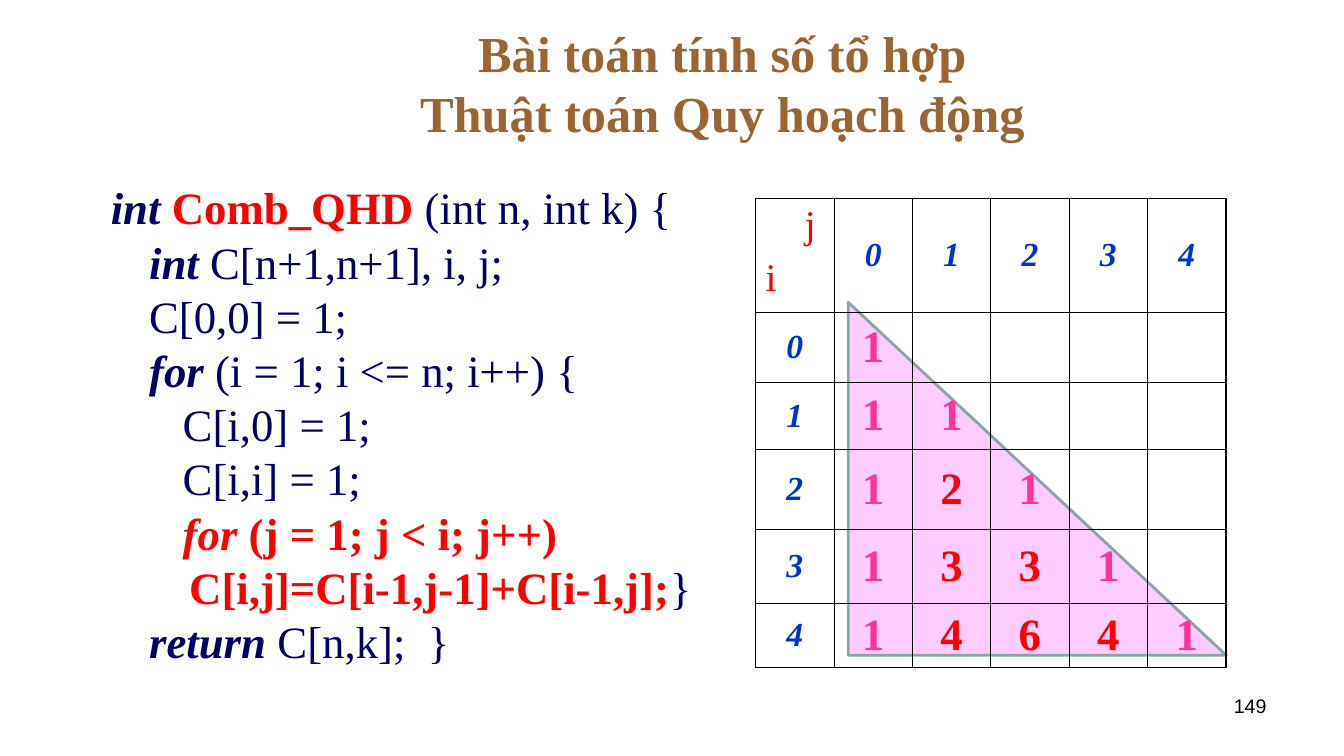
from lxml import etree
from pptx import Presentation
from pptx.dml.color import RGBColor
from pptx.enum.shapes import MSO_SHAPE as SHAPE
from pptx.enum.text import MSO_ANCHOR as ANCHOR, MSO_AUTO_SIZE as FIT, PP_ALIGN as ALIGN
from pptx.oxml.ns import qn
from pptx.util import Inches, Pt

BROWN = RGBColor(0x99, 0x66, 0x33)
NAVY = RGBColor(0x00, 0x00, 0x66)
RED = RGBColor(0xFF, 0x00, 0x00)
BLUE = RGBColor(0x00, 0x33, 0xCC)
PINK = RGBColor(0xFF, 0x33, 0x99)
LILAC = RGBColor(0xFF, 0xCC, 0xFF)
TEAL = RGBColor(0x89, 0xA4, 0xA7)
BLACK = RGBColor(0x00, 0x00, 0x00)
SERIF = "Times New Roman"

PLAIN = (NAVY, False, False)
KEY = (NAVY, True, True)
HOT = (RED, True, False)
HOT_KEY = (RED, True, True)

CODE = [
    [("int ", KEY), ("Comb_QHD ", HOT), ("(int n, int k) {", PLAIN)],
    [("\tint ", KEY), ("C[n+1,n+1], i, j;", PLAIN)],
    [("\tC[0,0] = 1;", PLAIN)],
    [("\tfor", KEY), (" (i = 1; i <= n; i++) {", PLAIN)],
    [("\t   C[i,0] = 1;", PLAIN)],
    [("\t   C[i,i] = 1;", PLAIN)],
    [("\t   ", PLAIN), ("for ", HOT_KEY), ("(j = 1; j < i; j++)", HOT)],
    [("       C[i,j]=C[i-1,j-1]+C[i-1,j];", HOT), ("}", PLAIN)],
    [("\t", PLAIN), ("return", KEY), (" C[n,k];  }", PLAIN)],
]
ROW_HEIGHTS = [1.13, 0.69, 0.67, 0.79, 0.74, 0.63]


def place(sp, box):
    sp.left, sp.top, sp.width, sp.height = (Inches(v) for v in box)


def style(font, size, color, bold=False, italic=False, name=SERIF):
    font.name, font.size = name, Pt(size)
    font.bold, font.italic = bold, italic
    font.color.rgb = color


def add_title(sp, box):
    place(sp, box)
    tf = sp.text_frame
    tf.text = "Bài toán tính số tổ hợp\vThuật toán Quy hoạch động"
    tf.vertical_anchor = ANCHOR.MIDDLE
    tf.auto_size = FIT.NONE
    p = tf.paragraphs[0]
    p.alignment = ALIGN.CENTER
    for r in p.runs:
        style(r.font, 36, BROWN, True)


def add_code(sp, box):
    place(sp, box)
    tf = sp.text_frame
    tf.auto_size = FIT.NONE
    for i, line in enumerate(CODE):
        p = tf.add_paragraph() if i else tf.paragraphs[0]
        p.line_spacing = 0.8
        p.space_before = Pt(8 if i else 0)
        pPr = p._p.get_or_add_pPr()
        pPr.set("marL", str(Inches(0.38)))
        pPr.set("indent", str(-Inches(0.38)))
        etree.SubElement(pPr, qn("a:buNone"))
        for text, look in line:
            r = p.add_run()
            r.text = text
            style(r.font, 32, *look)


def set_borders(cell, row, col, last):
    tcPr = cell._tc.get_or_add_tcPr()
    outer = {"L": col == 0, "R": col == last, "T": row == 0, "B": row == last}
    for i, (side, thick) in enumerate(outer.items()):
        ln = etree.Element(qn(f"a:ln{side}"), w=str(Pt(1.08 if thick else 0.45)))
        fill = etree.SubElement(ln, qn("a:solidFill"))
        etree.SubElement(fill, qn("a:srgbClr"), val=str(BLACK))
        tcPr.insert(i, ln)


def fill_corner(cell):
    tf = cell.text_frame
    tf.text = "j\ni"
    for p in tf.paragraphs:
        style(p.runs[0].font, 28, RED)
    j, i = tf.paragraphs
    j._p.get_or_add_pPr().set("marL", str(Inches(0.39)))
    i.space_before = Pt(7)


def fill_number(cell, value, size, color, italic):
    cell.vertical_anchor = ANCHOR.MIDDLE
    cell.text_frame.text = str(value)
    p = cell.text_frame.paragraphs[0]
    p.alignment = ALIGN.CENTER
    style(p.runs[0].font, size, color, True, italic)


def pascal_rows(count):
    rows = [[1]]
    while len(rows) < count:
        prev = rows[-1]
        rows.append([1] + [a + b for a, b in zip(prev, prev[1:])] + [1])
    return rows


def add_pascal_table(s, box):
    left, top, width, height = box
    sp = s.shapes.add_shape(SHAPE.RIGHT_TRIANGLE, Inches(left + 0.92), Inches(top + 1.03),
                            Inches(width - 0.92), Inches(3.5))
    sp.shadow.inherit = False
    sp.fill.solid()
    sp.fill.fore_color.rgb = LILAC
    sp.line.color.rgb = TEAL
    sp.line.width = Pt(2)

    n = len(ROW_HEIGHTS)
    table = s.shapes.add_table(n, n, *(Inches(v) for v in box)).table
    table.first_row = table.horz_banding = False
    for k, h in enumerate(ROW_HEIGHTS):
        table.rows[k].height = Inches(h)
        table.columns[k].width = Inches(width / n)
    for row in range(n):
        for col in range(n):
            cell = table.cell(row, col)
            cell.fill.background()
            set_borders(cell, row, col, n - 1)

    fill_corner(table.cell(0, 0))
    for k, values in enumerate(pascal_rows(n - 1)):
        fill_number(table.cell(0, k + 1), k, 24, BLUE, True)
        fill_number(table.cell(k + 1, 0), k, 24, BLUE, True)
        for j, value in enumerate(values):
            color = PINK if value == 1 else RED
            fill_number(table.cell(k + 1, j + 1), value, 32, color, False)


def add_page_number(s, box):
    tf = s.shapes.add_textbox(*(Inches(v) for v in box)).text_frame
    tf.word_wrap = True
    tf.text = "149"
    p = tf.paragraphs[0]
    p.alignment = ALIGN.RIGHT
    style(p.runs[0].font, 14, BLACK, name="Arial")


def main():
    prs = Presentation()
    prs.slide_width, prs.slide_height = Inches(13.34), Inches(7.5)
    s = prs.slides.add_slide(prs.slide_layouts[1])
    add_title(s.shapes.title, (1.67, 0.3, 11, 1.03))
    add_code(s.placeholders[1], (1, 1.84, 6, 5.25))
    add_pascal_table(s, (7.5, 1.97, 4.67, 4.65))
    add_page_number(s, (9.56, 6.83, 3.11, 0.52))
    prs.save("out.pptx")


if __name__ == "__main__":
    main()
